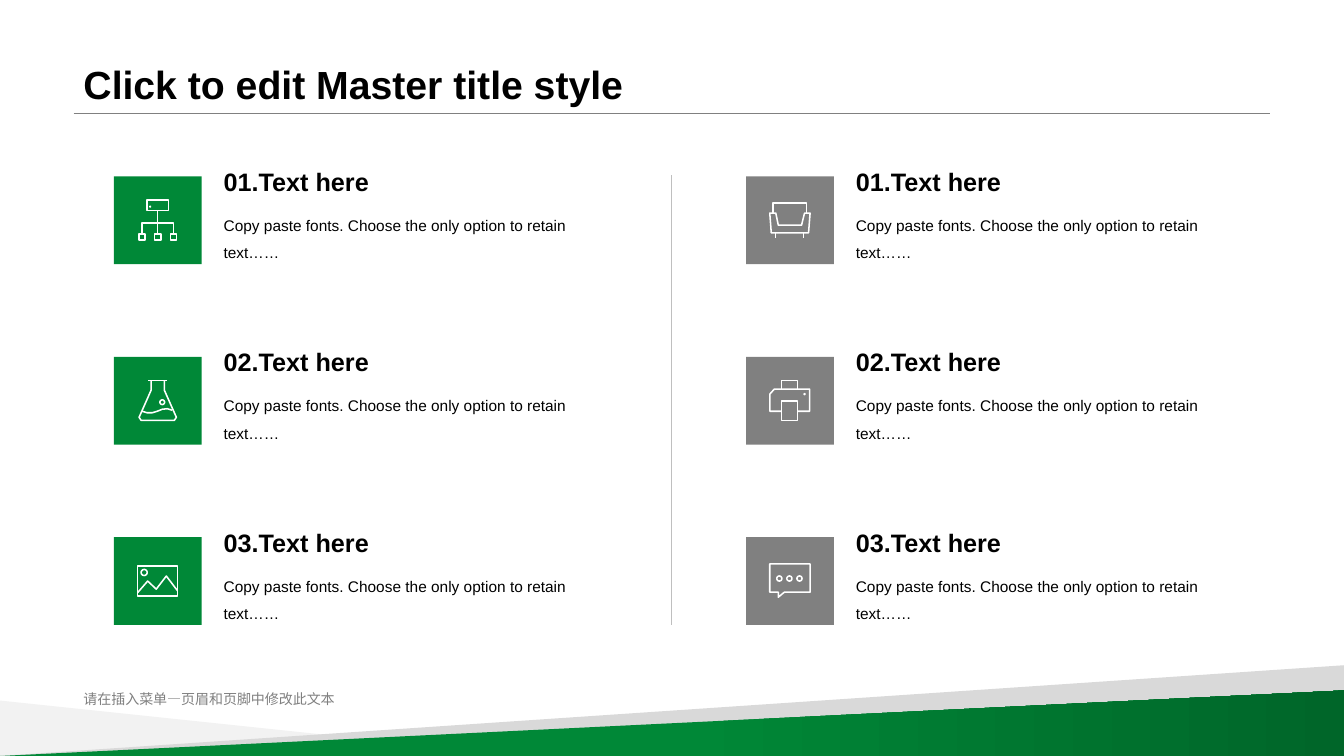
import math

from lxml import etree
from pptx import Presentation
from pptx.dml.color import RGBColor
from pptx.enum.shapes import MSO_CONNECTOR, MSO_SHAPE
from pptx.enum.text import MSO_ANCHOR
from pptx.oxml.ns import qn
from pptx.util import Inches, Pt

STRAIGHT = MSO_CONNECTOR.STRAIGHT
TILE = MSO_SHAPE.SNIP_2_DIAG_RECTANGLE
TOP, MIDDLE, BOTTOM = MSO_ANCHOR.TOP, MSO_ANCHOR.MIDDLE, MSO_ANCHOR.BOTTOM

FONT = "Arial"
BLACK = RGBColor(0x00, 0x00, 0x00)
WHITE = RGBColor(0xFF, 0xFF, 0xFF)
GREEN = RGBColor(0x00, 0x88, 0x37)
DARK_GREEN = RGBColor(0x00, 0x66, 0x29)
GRAY = RGBColor(0x80, 0x80, 0x80)
DIVIDER_GRAY = RGBColor(0xBF, 0xBF, 0xBF)
BAND_GRAY = RGBColor(0xD9, 0xD9, 0xD9)
PALE_GRAY = RGBColor(0xF2, 0xF2, 0xF2)

BODY = "Copy paste fonts. Choose the only option to retain text……"
TILE_SIZE = 0.87
ROW_PITCH = 1.79


def box(left, top, right, bottom):
    return [(left, top), (right, top), (right, bottom), (left, bottom), (left, top)]


def ring(x, y, radius):
    angles = [math.tau * step / 24 for step in range(25)]
    return [(x + radius * math.cos(a), y + radius * math.sin(a)) for a in angles]


# Stroke points are hundredths of an inch from the tile's top left corner.
NETWORK = [
    box(33, 23.5, 54, 34),
    ring(36, 30, 0.3),
    [(43.5, 34), (43.5, 57)],
    [(28, 57), (28, 46), (59, 46), (59, 57)],
    *[box(x - 3, 57, x + 3, 63) for x in (28, 43.5, 59)],
]
FLASK = [
    [(34, 23.5), (53, 23.5)],
    [(37, 23.5), (37, 33), (25, 60), (27, 63), (60, 63), (62, 60), (50, 33), (50, 23.5)],
    [(28, 54), (33, 55.5), (38, 55.5), (43, 54), (48, 52), (53, 51.5), (58, 53)],
    ring(48, 45, 2.3),
]
LANDSCAPE = [
    box(23.5, 28.5, 63, 58.5),
    [(23.5, 55), (33.5, 43.5), (42, 51.5), (52, 38.5), (63, 53)],
    ring(30, 35, 3),
]
SOFA = [
    [(27, 36.5), (27, 26.5), (60, 26.5), (60, 36.5)],
    [(23.5, 36.5), (29.5, 36.5), (32, 48.5), (55, 48.5), (58, 36.5),
     (63.5, 36.5), (62, 56), (25, 56), (23.5, 36.5)],
    [(29, 56), (29, 61)],
    [(57, 56), (57, 61)],
]
PRINTER = [
    [(35, 54), (23.5, 54), (23.5, 37), (28, 32), (63, 32), (63, 54), (51, 54)],
    box(35, 44, 51, 63),
    [(35, 32), (35, 23.5), (51, 23.5), (51, 32)],
    ring(58, 37, 0.4),
]
CHAT = [
    [(23.5, 26.5), (63.5, 26.5), (63.5, 54.5), (38, 54.5), (32, 59.5),
     (32, 54.5), (23.5, 54.5), (23.5, 26.5)],
    *[ring(x, 41, 2.5) for x in (33, 43, 53)],
]


def add_text(slide, text, left, top, width, height, size, color=BLACK,
             bold=False, anchor=TOP, spacing=1.0):
    shape = slide.shapes.add_textbox(Inches(left), Inches(top), Inches(width), Inches(height))
    frame = shape.text_frame
    frame.word_wrap = True
    frame.vertical_anchor = anchor
    paragraph = frame.paragraphs[0]
    paragraph.text = text
    paragraph.line_spacing = spacing
    paragraph.font.name = FONT
    paragraph.font.size = Pt(size)
    paragraph.font.bold = bold
    paragraph.font.color.rgb = color


def add_line(slide, start, end, color):
    line = slide.shapes.add_connector(STRAIGHT, *[Inches(value) for value in (*start, *end)])
    line.line.color.rgb = color
    line.line.width = Pt(0.25)
    etree.SubElement(line._element.spPr, qn("a:effectLst"))


def add_outline(slide, strokes):
    strokes = [[(Inches(x), Inches(y)) for x, y in stroke] for stroke in strokes]
    builder = slide.shapes.build_freeform(*strokes[0][0])
    for index, stroke in enumerate(strokes):
        if index:
            builder.move_to(*stroke[0])
        builder.add_line_segments(stroke[1:], close=False)
    shape = builder.convert_to_shape()
    shape.shadow.inherit = False
    return shape


def add_wedge(slide, corners, color):
    wedge = add_outline(slide, [corners + corners[:1]])
    wedge.fill.solid()
    wedge.fill.fore_color.rgb = color
    wedge.line.fill.background()
    return wedge


def add_header(slide, left, width, bottom):
    add_line(slide, (left, bottom), (left + width, bottom), GRAY)
    add_text(slide, "Click to edit Master title style", left, 0, width, bottom,
             28, bold=True, anchor=BOTTOM, spacing=0.9)


def add_footer(slide, left, right, bottom):
    add_text(slide, "请在插入菜单—页眉和页脚中修改此文本", 0.73, 6.82, 4.53, 0.23,
             10, color=GRAY, anchor=MIDDLE)
    add_wedge(slide, [(left, 6.95), (left, bottom), (5.23, bottom)], PALE_GRAY)
    bands = [add_wedge(slide, [(right, top), (left, bottom), (right, bottom)], BAND_GRAY)
             for top in (6.6, 6.85)]
    fill = bands[-1].fill
    fill.gradient()
    fill.gradient_angle = 0
    for stop, position, color in zip(fill.gradient_stops, (0.51, 1), (GREEN, DARK_GREEN)):
        stop.position = position
        stop.color.rgb = color


def add_item(slide, left, top, heading, icon, color):
    text_left = left + 0.99
    add_text(slide, heading, text_left, top - 0.21, 3.8, 0.46, 18, bold=True, anchor=BOTTOM)
    add_text(slide, BODY, text_left, top + 0.25, 3.8, 0.82, 11, spacing=1.5)
    tile = slide.shapes.add_shape(TILE, Inches(left), Inches(top),
                                  Inches(TILE_SIZE), Inches(TILE_SIZE))
    tile.adjustments[0] = tile.adjustments[1] = 0
    tile.shadow.inherit = False
    tile.fill.solid()
    tile.fill.fore_color.rgb = color
    tile.line.fill.background()
    drawing = add_outline(slide, [[(left + x / 100, top + y / 100) for x, y in stroke]
                                  for stroke in icon])
    drawing.fill.background()
    drawing.line.color.rgb = WHITE
    drawing.line.width = Pt(1.1)


def add_column(slide, left, top, icons, color):
    for row, icon in enumerate(icons):
        add_item(slide, left, top + row * ROW_PITCH, f"{row + 1:02}.Text here", icon, color)


def main():
    presentation = Presentation()
    presentation.slide_width = Inches(13.33)
    presentation.slide_height = Inches(7.5)
    slide = presentation.slides.add_slide(presentation.slide_layouts[6])
    add_header(slide, 0.73, 11.87, 1.12)
    add_footer(slide, 0, 13.33, 7.5)
    add_column(slide, 1.13, 1.75, (NETWORK, FLASK, LANDSCAPE), GREEN)
    add_column(slide, 7.4, 1.75, (SOFA, PRINTER, CHAT), GRAY)
    add_line(slide, (6.66, 1.74), (6.66, 6.2), DIVIDER_GRAY)
    presentation.save("out.pptx")


if __name__ == "__main__":
    main()
